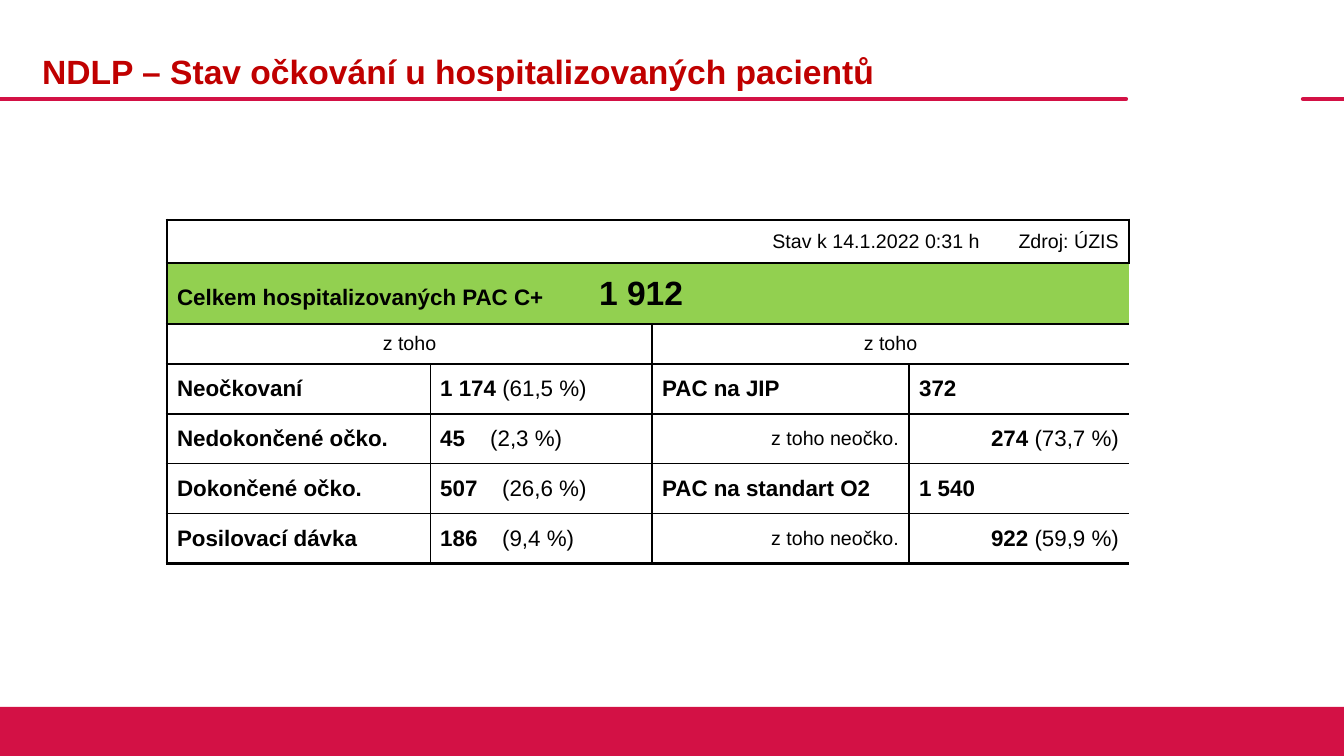
from dataclasses import dataclass

from lxml import etree
from pptx import Presentation
from pptx import util as u
from pptx.dml import color
from pptx.enum import shapes, text
from pptx.oxml import ns

PX = 914400 / 100.8


@dataclass(frozen=True)
class Theme:
    """Colours, font and type sizes of the slide."""
    font: str = "Arial"
    accent: str = "D31145"
    heading: str = "C00000"
    ink: str = "000000"
    total: str = "92D050"
    large: int = 24
    normal: int = 16
    small: int = 14
    thick: float = 2.25
    thin: float = 1


THEME = Theme()
LEFT, CENTER, RIGHT = text.PP_ALIGN.LEFT, text.PP_ALIGN.CENTER, text.PP_ALIGN.RIGHT


def px(length):
    """Turn pixels into EMU."""
    return u.Emu(round(length * PX))


def rgb(value):
    """Turn a hex string into a colour."""
    return color.RGBColor.from_string(value)


def write(frame, runs, align=LEFT, ink=THEME.ink, tab=None, spacing=None):
    """Write (wording, size, bold) runs as the first paragraph of a frame."""
    paragraph = frame.paragraphs[0]
    paragraph.alignment = align
    if spacing:
        paragraph.line_spacing = spacing
    if tab:
        stops = etree.SubElement(paragraph._p.get_or_add_pPr(), ns.qn("a:tabLst"))
        etree.SubElement(stops, ns.qn("a:tab"), pos=str(px(tab)), algn="l")
    for wording, size, bold in runs:
        run = paragraph.add_run()
        run.text = wording
        run.font.name = THEME.font
        run.font.size = u.Pt(size)
        run.font.bold = bold
        run.font.color.rgb = rgb(ink)


def add_heading(slide, left, top, width, height):
    """Place the slide title."""
    title = slide.shapes.title
    title.left, title.top, title.width, title.height = map(px, (left, top, width, height))
    frame = title.text_frame
    frame.word_wrap = True
    frame.auto_size = text.MSO_AUTO_SIZE.NONE
    frame.vertical_anchor = text.MSO_ANCHOR.MIDDLE
    write(frame, [("NDLP – Stav očkování u hospitalizovaných pacientů", THEME.large, True)],
          ink=THEME.heading, spacing=0.9)


def add_rule(slide, left, top, width):
    """Draw one piece of the line under the title."""
    rule = slide.shapes.add_connector(shapes.MSO_CONNECTOR.STRAIGHT,
                                      px(left), px(top), px(left + width), px(top))
    rule.line.color.rgb = rgb(THEME.accent)
    rule.line.width = u.Pt(3)
    rule.line._get_or_add_ln().set("cap", "rnd")
    etree.SubElement(rule._element.spPr, ns.qn("a:effectLst"))


def add_footer(slide, left, top, width, height):
    """Draw the band at the foot of the slide."""
    band = slide.shapes.add_shape(shapes.MSO_SHAPE.RECTANGLE,
                                  *map(px, (left, top, width, height)))
    band.shadow.inherit = False
    band.fill.solid()
    band.fill.fore_color.rgb = rgb(THEME.accent)
    band.line.fill.background()


def vertical_border(row, boundary):
    """Give the width of the upright border at a column boundary."""
    if boundary in (0, 6) or (row >= 2 and boundary == 3):
        return THEME.thick
    return THEME.thin if row >= 3 and boundary in (2, 4) else 0


def horizontal_border(boundary):
    """Give the width of the level border at a row boundary."""
    return THEME.thick if boundary in (0, 7) else THEME.thin


def style_cell(cell, row, column):
    """Set the borders, fill and anchor of a cell from its place in the grid."""
    borders = {"L": vertical_border(row, column), "R": vertical_border(row, column + 1),
               "T": horizontal_border(row), "B": horizontal_border(row + 1)}
    properties = cell._tc.get_or_add_tcPr()
    for side, width in borders.items():
        line = etree.SubElement(properties, ns.qn(f"a:ln{side}"), w=str(u.Pt(width)))
        if width:
            ink = etree.SubElement(line, ns.qn("a:solidFill"))
            etree.SubElement(ink, ns.qn("a:srgbClr"), val=THEME.ink)
        else:
            etree.SubElement(line, ns.qn("a:noFill"))
    if row == 1:
        cell.fill.solid()
        cell.fill.fore_color.rgb = rgb(THEME.total)
    else:
        cell.fill.background()
    cell.vertical_anchor = text.MSO_ANCHOR.MIDDLE


def add_patients(slide, left, top, columns, rows):
    """Build the table of hospitalised patients by vaccination state."""
    table = slide.shapes.add_table(len(rows), len(columns), px(left), px(top),
                                   px(sum(columns)), px(sum(rows))).table
    table.first_row = table.horz_banding = False
    for column, width in zip(table.columns, columns):
        column.width = px(width)
    for row, height in zip(table.rows, rows):
        row.height = px(height)
    for row in range(len(rows)):
        for column in range(len(columns)):
            style_cell(table.cell(row, column), row, column)

    def put(row, column, span, runs, **style):
        """Write into a cell that covers a number of columns."""
        cell = table.cell(row, column)
        if span > 1:
            cell.merge(table.cell(row, column + span - 1))
        write(cell.text_frame, runs, **style)

    small, normal = THEME.small, THEME.normal
    put(0, 1, 2, [])
    put(0, 3, 2, [("Stav k 14.1.2022 0:31 h", small, False)], align=RIGHT)
    put(0, 5, 1, [("Zdroj: ÚZIS", small, False)], align=RIGHT)
    put(1, 0, 6, [("Celkem hospitalizovaných PAC C+\t", normal, True),
                  ("1 912", THEME.large, True)], tab=422)
    for column in (0, 3):
        put(2, column, 3, [("z toho", small, False)], align=CENTER)

    vaccination = [("Neočkovaní", "1 174 ", "(61,5 %)", None),
                   ("Nedokončené očko.", "45\t", "(2,3 %)", 50),
                   ("Dokončené očko.", "507\t", "(26,6 %)", 62),
                   ("Posilovací dávka", "186\t", "(9,4 %)", 62)]
    for row, (state, count, share, tab) in enumerate(vaccination, 3):
        put(row, 0, 2, [(state, normal, True)])
        put(row, 2, 1, [(count, normal, True), (share, normal, False)], tab=tab)

    wards = [("PAC na JIP", "372", "274 ", "(73,7 %)"),
             ("PAC na standart O2", "1 540", "922 ", "(59,9 %)")]
    for index, (ward, count, unvaccinated, share) in enumerate(wards):
        row = 3 + 2 * index
        put(row, 3, 1, [(ward, normal, True)])
        put(row, 4, 2, [(count, normal, True)])
        put(row + 1, 3, 1, [("z toho neočko.", small, False)], align=RIGHT)
        put(row + 1, 4, 2, [(unvaccinated, normal, True), (share, normal, False)], align=RIGHT)


def main():
    """Build and save the slide."""
    deck = Presentation()
    deck.slide_width, deck.slide_height = px(1344), px(756)
    slide = deck.slides.add_slide(deck.slide_layouts[5])
    add_rule(slide, 0, 99, 1126)
    add_rule(slide, 1303, 99, 41)
    add_footer(slide, 0, 707, 1344, 49)
    add_heading(slide, 32, 24, 1090, 99)
    add_patients(slide, 167, 220, (239, 16, 222, 257, 81, 139), (43, 61, 40) + (50,) * 4)
    deck.save("out.pptx")


if __name__ == "__main__":
    main()
